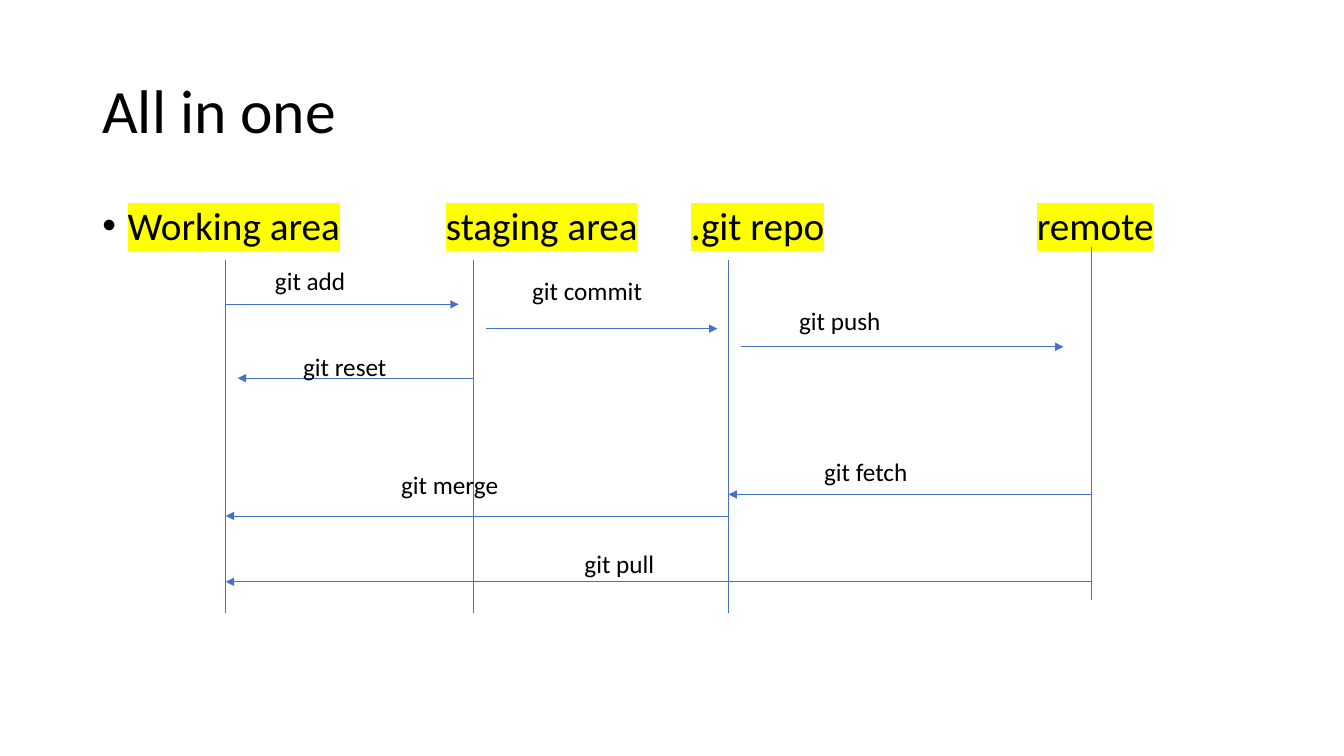
from lxml import etree
from pptx import Presentation
from pptx.dml.color import RGBColor
from pptx.enum.shapes import MSO_CONNECTOR
from pptx.enum.text import MSO_ANCHOR
from pptx.oxml.ns import qn
from pptx.util import Cm, Pt

STRAIGHT = MSO_CONNECTOR.STRAIGHT
MIDDLE, TOP = MSO_ANCHOR.MIDDLE, MSO_ANCHOR.TOP
BLACK = RGBColor(0, 0, 0)
BLUE = RGBColor(0x44, 0x72, 0xC4)
YELLOW = RGBColor(0xFF, 0xFF, 0)
FONT = "Calibri"

TITLE = "All in one"
LIFELINE_HEIGHT = 8.89
BULLET_INDENT = 0.64

# heading, heading left, heading width, lifeline x, lifeline top
AREAS = [
    ("Working area", 2.33, 7, 5.69, 6.55),
    ("staging area", 10.99, 5.8, 11.94, 6.55),
    (".git repo", 17.16, 4.5, 18.36, 6.55),
    ("remote", 25.88, 4.5, 27.51, 6.22),
]
# command, label left, label top, label width, arrow start, arrow end, arrow y
COMMANDS = [
    ("git add", 6.68, 6.55, 2.46, 5.69, 11.56, 7.67),
    ("git commit", 13.16, 6.81, 3.38, 12.24, 18.08, 8.28),
    ("git push", 19.89, 7.57, 4.62, 18.67, 26.8, 8.74),
    ("git reset", 7.39, 8.74, 3, 11.94, 5.99, 9.53),
    ("git fetch", 20.52, 11.38, 3.56, 27.51, 18.36, 12.46),
    ("git merge", 9.86, 11.71, 3.86, 18.36, 5.69, 13),
    ("git pull", 14.48, 13.69, 8.13, 27.51, 5.69, 14.66),
]

presentation = Presentation()
presentation.slide_width, presentation.slide_height = Cm(33.87), Cm(19.05)
slide = presentation.slides.add_slide(presentation.slide_layouts[6])


def add_text(text, left, top, width, height, size, spacing=1.0, anchor=TOP, bullet=False):
    shape = slide.shapes.add_textbox(Cm(left), Cm(top), Cm(width), Cm(height))
    frame = shape.text_frame
    frame.word_wrap = True
    frame.vertical_anchor = anchor
    frame.text = text
    paragraph = frame.paragraphs[0]
    if bullet:
        properties = paragraph._p.get_or_add_pPr()
        properties.set("marL", str(Cm(BULLET_INDENT)))
        properties.set("indent", str(-Cm(BULLET_INDENT)))
        etree.SubElement(properties, qn("a:buFont")).set("typeface", "Arial")
        etree.SubElement(properties, qn("a:buChar")).set("char", "•")
    paragraph.line_spacing = spacing
    run = paragraph.runs[0]
    run.font.size = Pt(size)
    run.font.name = FONT
    run.font.color.rgb = BLACK
    return run


def highlight(run):
    mark = etree.Element(qn("a:highlight"))
    etree.SubElement(mark, qn("a:srgbClr")).set("val", str(YELLOW))
    run._r.rPr.find(qn("a:latin")).addprevious(mark)


def add_line(x1, y1, x2, y2, arrow=False):
    connector = slide.shapes.add_connector(STRAIGHT, Cm(x1), Cm(y1), Cm(x2), Cm(y2))
    connector.line.color.rgb = BLUE
    connector.line.width = Pt(0.5)
    if arrow:
        etree.SubElement(connector.line._get_or_add_ln(), qn("a:tailEnd")).set("type", "triangle")
    etree.SubElement(connector._element.spPr, qn("a:effectLst"))


add_text(TITLE, 2.33, 1.02, 29.21, 3.68, 44, 0.9, MIDDLE)

for index, (heading, left, width, x, top) in enumerate(AREAS):
    highlight(add_text(heading, left, 5.08, width, 1.4, 28, 0.9, bullet=index == 0))
    add_line(x, top, x, top + LIFELINE_HEIGHT)

for command, left, top, width, start, end, y in COMMANDS:
    add_line(start, y, end, y, arrow=True)
    add_text(command, left, top, width, 1.02, 18)

presentation.save("out.pptx")
